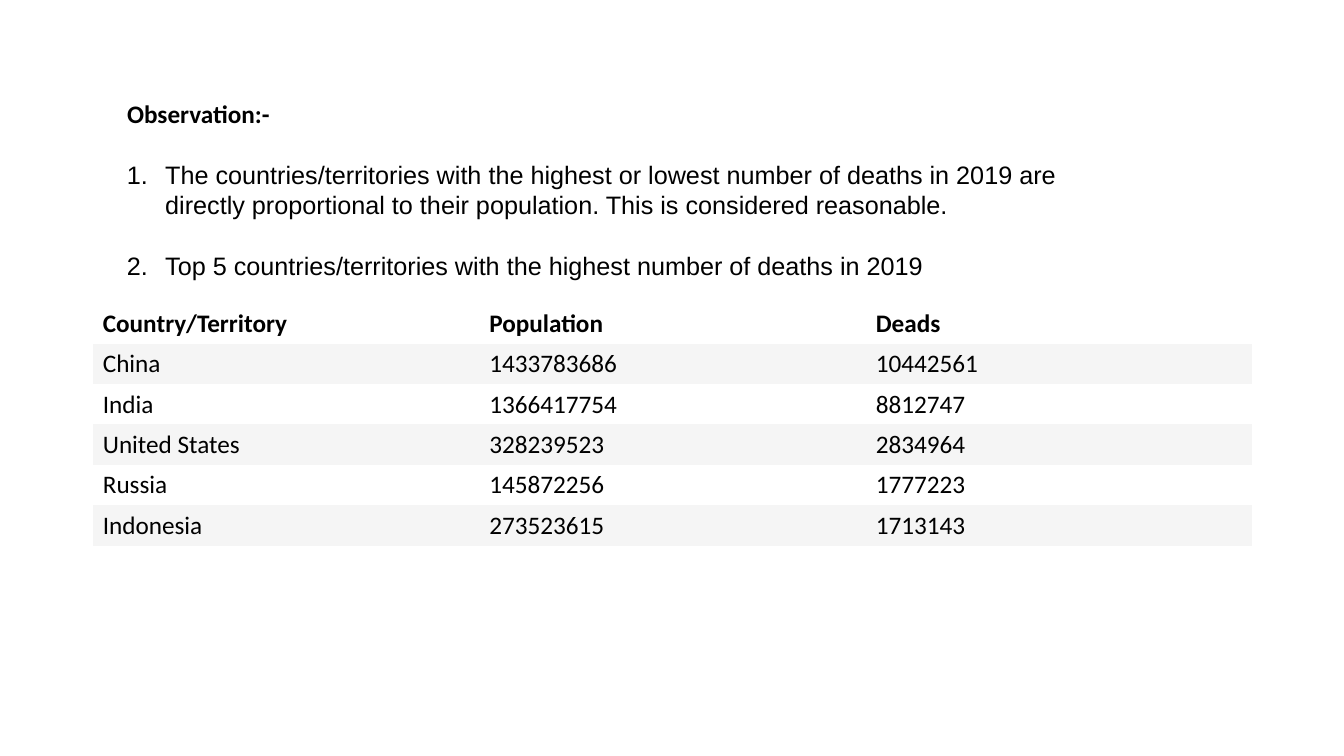
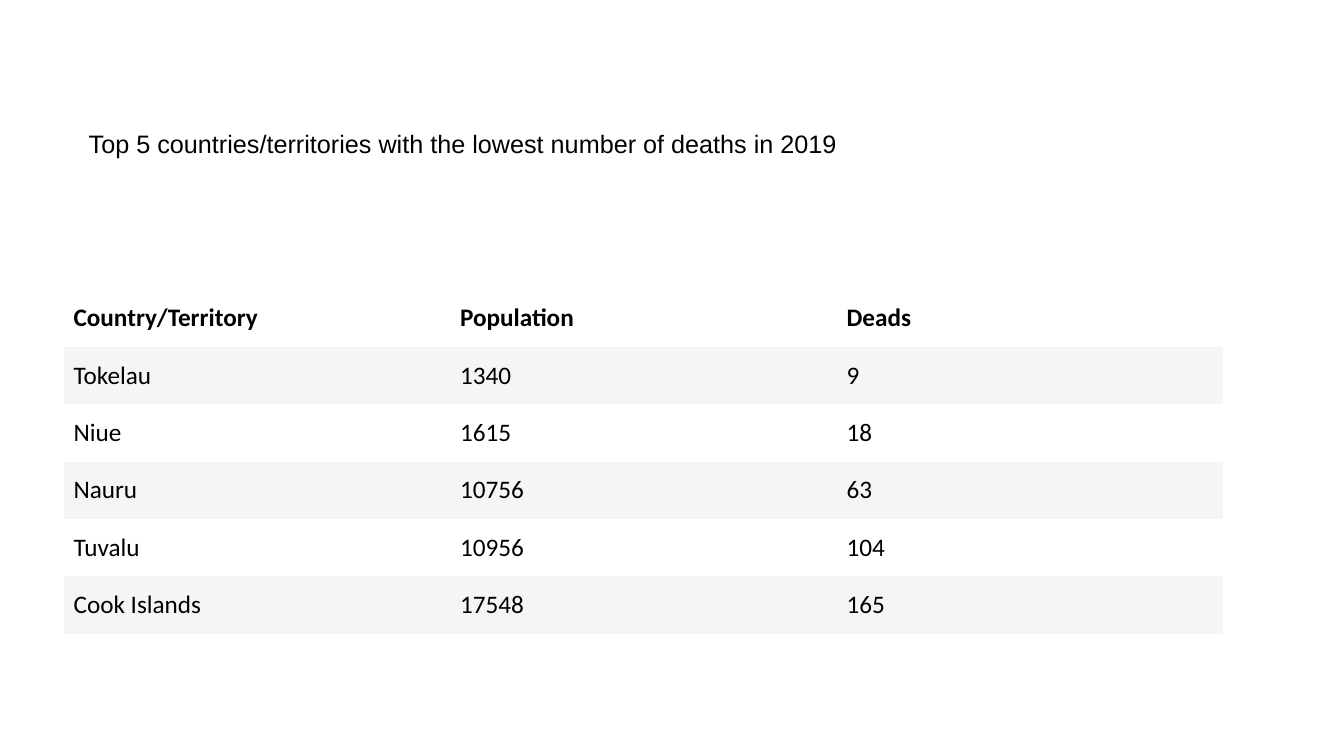
"""Builds two slides on the highest and lowest numbers of deaths in 2019."""
from pptx import Presentation
from pptx.dml.color import RGBColor
from pptx.enum.text import MSO_ANCHOR, MSO_AUTO_SIZE, PP_ALIGN
from pptx.oxml.ns import qn
from pptx.util import Inches, Pt

MIDDLE = MSO_ANCHOR.MIDDLE
FIXED = MSO_AUTO_SIZE.NONE
LEFT = PP_ALIGN.LEFT
PLAIN = "{2D5ABB26-0587-4C30-8999-92F81FD0307C}"

THEME = {
    "ink": RGBColor.from_string("000000"),
    "band": RGBColor.from_string("F5F5F5"),
    "size": Pt(18),
    "gap": Pt(22),
    "hang": Inches(0.38),
    "head": "Calibri",
    "body": "Arial",
}

HEADS = ("Country/Territory", "Population", "Deads")

PAGES = [
    {
        "title": "Observation:-",
        "font": {"name": THEME["head"], "bold": True},
        "box": (1.16, 0.92, 9.68, 0.42),
        "list": [
            "The countries/territories with the highest or lowest number of deaths in 2019 "
            "are directly proportional to their population. This is considered reasonable.",
            "Top 5 countries/territories with the highest number of deaths in 2019",
        ],
        "grid": (0.92, 3.01, 0.4),
        "rows": [
            ("China", 1433783686, 10442561),
            ("India", 1366417754, 8812747),
            ("United States", 328239523, 2834964),
            ("Russia", 145872256, 1777223),
            ("Indonesia", 273523615, 1713143),
        ],
    },
    {
        "title": "Top 5 countries/territories with the lowest number of deaths in 2019",
        "font": {"name": THEME["body"], "bold": False},
        "box": (0.78, 1.21, 9.68, 0.42),
        "list": [],
        "grid": (0.63, 2.87, 0.57),
        "rows": [
            ("Tokelau", 1340, 9),
            ("Niue", 1615, 18),
            ("Nauru", 10756, 63),
            ("Tuvalu", 10956, 104),
            ("Cook Islands", 17548, 165),
        ],
    },
]


def style(para, **form):
    for key, value in {"size": THEME["size"], **form}.items():
        setattr(para.font, key, value)
    para.font.color.rgb = THEME["ink"]
    para.alignment = LEFT


deck = Presentation()
deck.slide_width, deck.slide_height = Inches(13.33), Inches(7.5)

for page in PAGES:
    slide = deck.slides.add_slide(deck.slide_layouts[5])

    title = slide.shapes.title
    for side, value in zip(("left", "top", "width", "height"), page["box"]):
        setattr(title, side, Inches(value))
    frame = title.text_frame
    frame.text = page["title"]
    for key, value in {"word_wrap": True, "auto_size": FIXED, "vertical_anchor": MIDDLE}.items():
        setattr(frame, key, value)
    style(frame.paragraphs[0], **page["font"])

    if page["list"]:
        box = slide.shapes.add_textbox(Inches(1.16), Inches(1.53), Inches(9.68), Inches(1.31))
        frame = box.text_frame
        frame.word_wrap = True
        frame.text = "\n".join(page["list"])
        for index, para in enumerate(frame.paragraphs):
            props = para._p.get_or_add_pPr()
            props.set("marL", str(THEME["hang"]))
            props.set("indent", str(-THEME["hang"]))
            mark = props.makeelement(qn("a:buAutoNum"), {"type": "arabicPeriod"})
            props.append(mark)
            if index:
                para.space_before = THEME["gap"]
            style(para, name=THEME["body"], bold=False)

    left, top, high = page["grid"]
    rows = [HEADS, *page["rows"]]
    table = slide.shapes.add_table(
        len(rows), len(HEADS), Inches(left), Inches(top), Inches(11.5), Inches(high * len(rows))
    ).table
    table._tbl.tblPr.find(qn("a:tableStyleId")).text = PLAIN
    table.horz_banding = False
    for r, row in enumerate(rows):
        for c, value in enumerate(row):
            cell = table.cell(r, c)
            cell.text = str(value)
            cell.vertical_anchor = MIDDLE
            if r % 2:
                cell.fill.solid()
                cell.fill.fore_color.rgb = THEME["band"]
            else:
                cell.fill.background()
            style(cell.text_frame.paragraphs[0], name=THEME["head"], bold=r == 0)

deck.save("out.pptx")
